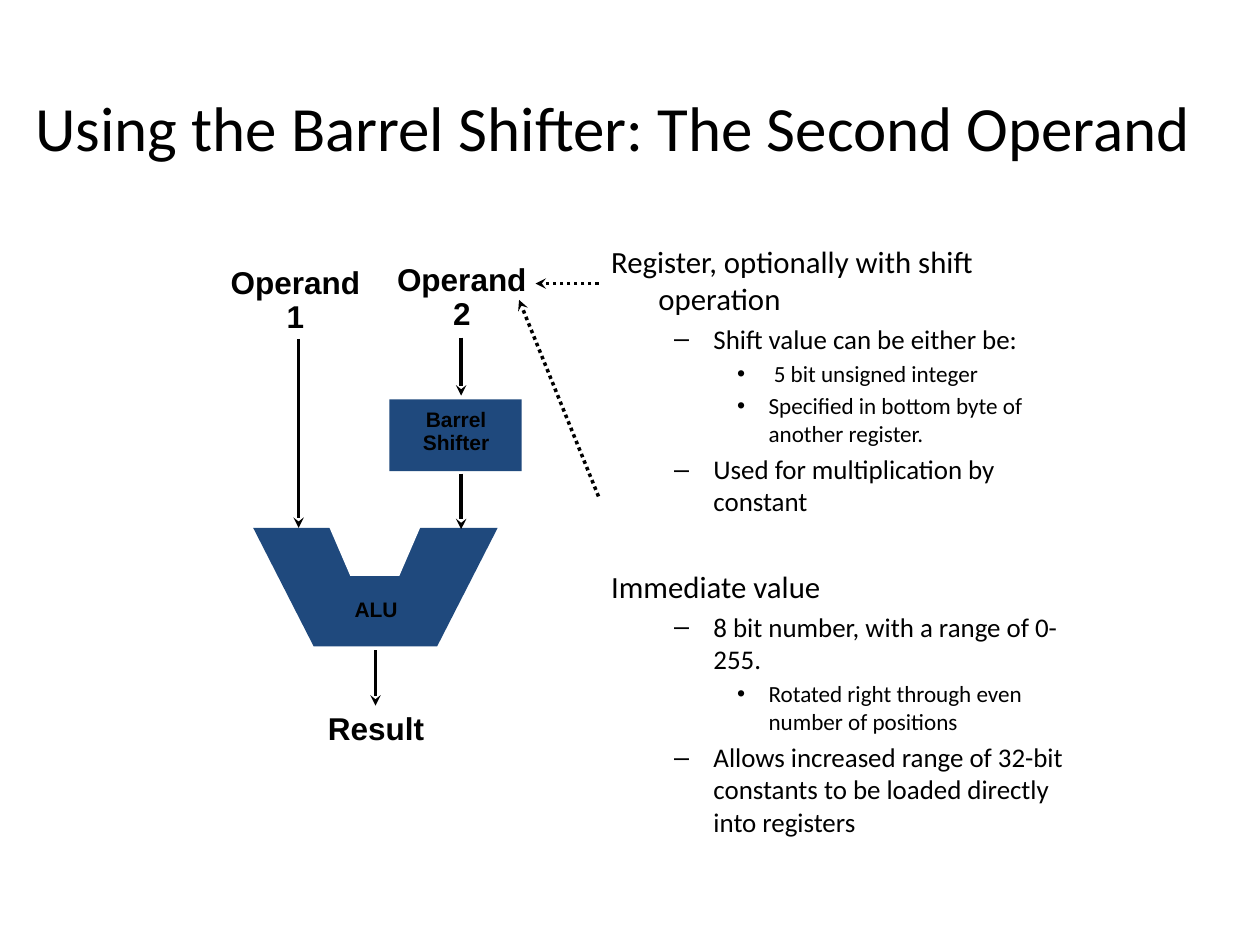
from dataclasses import dataclass
from typing import Optional

import lxml.etree
import pptx
import pptx.dml.color
import pptx.enum.dml
import pptx.enum.shapes
import pptx.enum.text
import pptx.oxml.ns
import pptx.util

Inches = pptx.util.Inches
Pt = pptx.util.Pt
CENTER = pptx.enum.text.PP_ALIGN.CENTER
MIDDLE = pptx.enum.text.MSO_ANCHOR.MIDDLE
TOP = pptx.enum.text.MSO_ANCHOR.TOP
BLACK, WHITE, NAVY = "000000", "FFFFFF", "1F497D"


@dataclass(frozen=True)
class Label:
    text: str
    left: float
    top: float
    width: float
    height: float
    size: float = 18
    anchor: pptx.enum.text.MSO_ANCHOR = TOP
    wrap: bool = True
    fill: Optional[str] = None


@dataclass(frozen=True)
class Arrow:
    start: tuple[float, float]
    end: tuple[float, float]
    dotted: bool = False


@dataclass(frozen=True)
class Trapezoid:
    left: float
    top: float
    width: float
    height: float
    inset: float
    fill: str


@dataclass(frozen=True)
class Point:
    text: str
    level: int
    space_before: Optional[float] = None


POINT_SIZES = (17.6, 15.4, 13.2)

POINTS = [
    Point("Register, optionally with shift operation", 0, 0),
    Point("Shift value can be either be:", 1),
    Point(" 5 bit unsigned integer", 2),
    Point("Specified in bottom byte of another register.", 2),
    Point("Used for multiplication by constant", 1),
    Point("Immediate value", 0, 29),
    Point("8 bit number, with a range of 0-255.", 1),
    Point("Rotated right through even number of positions", 2),
    Point("Allows increased range of 32-bit constants to be loaded directly into registers", 1),
]

ARROWS = [
    Arrow((4.75, 2.25), (4.25, 2.25), dotted=True),
    Arrow((4.75, 3.94), (4.12, 2.38), dotted=True),
    Arrow((2.37, 2.69), (2.37, 4.19)),
    Arrow((3.66, 2.68), (3.66, 3.14)),
    Arrow((3.66, 3.76), (3.66, 4.2)),
    Arrow((2.98, 5.16), (2.98, 5.6)),
]

ALU_PARTS = [
    Trapezoid(2.01, 4.19, 1.94, 0.94, 0.48, NAVY),
    Trapezoid(2.59, 4.13, 0.77, 0.44, 0.19, WHITE),
]

LABELS = [
    Label("Operand 1", 1.75, 2.08, 1.19, 0.62),
    Label("Operand 2", 3.07, 2.06, 1.19, 0.62),
    Label("Barrel\vShifter", 3.13, 3.18, 0.98, 0.5, 12, MIDDLE, wrap=False),
    Label("ALU", 2.63, 4.72, 0.71, 0.26, 12, fill=NAVY),
    Label("Result", 2.39, 5.62, 1.19, 0.35),
]


def rgb(value: str) -> pptx.dml.color.RGBColor:
    return pptx.dml.color.RGBColor.from_string(value)


def write(paragraph, text: str, *, size: float, font: str = "Calibri", bold=None,
          align=None, line_spacing=None, space_before=None, color: str = BLACK) -> None:
    paragraph.text = text
    paragraph.alignment = align
    paragraph.line_spacing = line_spacing
    if space_before is not None:
        paragraph.space_before = Pt(space_before)
    for run in paragraph.runs:
        run.font.name = font
        run.font.size = Pt(size)
        run.font.bold = bold
        run.font.color.rgb = rgb(color)


def place(shape, left: float, top: float, width: float, height: float) -> None:
    shape.left, shape.top = Inches(left), Inches(top)
    shape.width, shape.height = Inches(width), Inches(height)


def paint(shape, fill: str) -> None:
    shape.fill.solid()
    shape.fill.fore_color.rgb = rgb(fill)
    shape.line.fill.background()
    shape.shadow.inherit = False


def draw_block(slide, left: float, top: float, width: float, height: float, fill: str):
    block = slide.shapes.add_shape(
        pptx.enum.shapes.MSO_SHAPE.RECTANGLE,
        Inches(left), Inches(top), Inches(width), Inches(height))
    paint(block, fill)
    return block


def draw_arrow(slide, arrow: Arrow) -> None:
    connector = slide.shapes.add_connector(
        pptx.enum.shapes.MSO_CONNECTOR.STRAIGHT,
        *(Inches(value) for value in arrow.start + arrow.end))
    connector.line.color.rgb = rgb(BLACK)
    connector.line.width = Pt(2)
    if arrow.dotted:
        connector.line.dash_style = pptx.enum.dml.MSO_LINE.ROUND_DOT
    qn = pptx.oxml.ns.qn
    lxml.etree.SubElement(connector.line._get_or_add_ln(), qn("a:tailEnd"), type="stealth")
    lxml.etree.SubElement(connector._element.spPr, qn("a:effectLst"))


def draw_trapezoid(slide, part: Trapezoid) -> None:
    right, bottom = part.left + part.width, part.top + part.height
    outline = slide.shapes.build_freeform(
        Inches(part.left), Inches(part.top), scale=1.0)
    outline.add_line_segments([
        (Inches(part.left + part.inset), Inches(bottom)),
        (Inches(right - part.inset), Inches(bottom)),
        (Inches(right), Inches(part.top)),
    ], close=True)
    paint(outline.convert_to_shape(), part.fill)


def draw_label(slide, label: Label) -> None:
    box = (label.left, label.top, label.width, label.height)
    if label.fill:
        shape = draw_block(slide, *box, label.fill)
    else:
        shape = slide.shapes.add_textbox(*(Inches(value) for value in box))
    frame = shape.text_frame
    frame.margin_left = frame.margin_right = Inches(0.08)
    frame.margin_top = frame.margin_bottom = Inches(0.04)
    frame.word_wrap = label.wrap
    frame.vertical_anchor = label.anchor
    write(frame.paragraphs[0], label.text, size=label.size, font="Arial", bold=True,
          align=CENTER, line_spacing=0.9, space_before=0)


def fill_points(body) -> None:
    place(body, 4.75, 1.88, 3.88, 4.19)
    frame = body.text_frame
    frame.auto_size = pptx.enum.text.MSO_AUTO_SIZE.NONE
    for index, point in enumerate(POINTS):
        paragraph = frame.add_paragraph() if index else frame.paragraphs[0]
        paragraph.level = point.level
        write(paragraph, point.text, size=POINT_SIZES[point.level],
              space_before=point.space_before)
        if point.level == 0:
            lxml.etree.SubElement(
                paragraph._p.get_or_add_pPr(), pptx.oxml.ns.qn("a:buNone"))


def main() -> None:
    deck = pptx.Presentation()
    deck.slide_width, deck.slide_height = Inches(10), Inches(7.5)
    slide = deck.slides.add_slide(deck.slide_layouts[1])

    title = slide.shapes.title
    place(title, 0.04, 0.36, 9.65, 1.29)
    title.text_frame.vertical_anchor = MIDDLE
    write(title.text_frame.paragraphs[0], "Using the Barrel Shifter: The Second Operand",
          size=36, align=CENTER)
    fill_points(slide.placeholders[1])

    draw_block(slide, 3.09, 3.17, 1.05, 0.57, NAVY)
    for part in ALU_PARTS:
        draw_trapezoid(slide, part)
    for arrow in ARROWS:
        draw_arrow(slide, arrow)
    for label in LABELS:
        draw_label(slide, label)
    deck.save("out.pptx")


if __name__ == "__main__":
    main()
